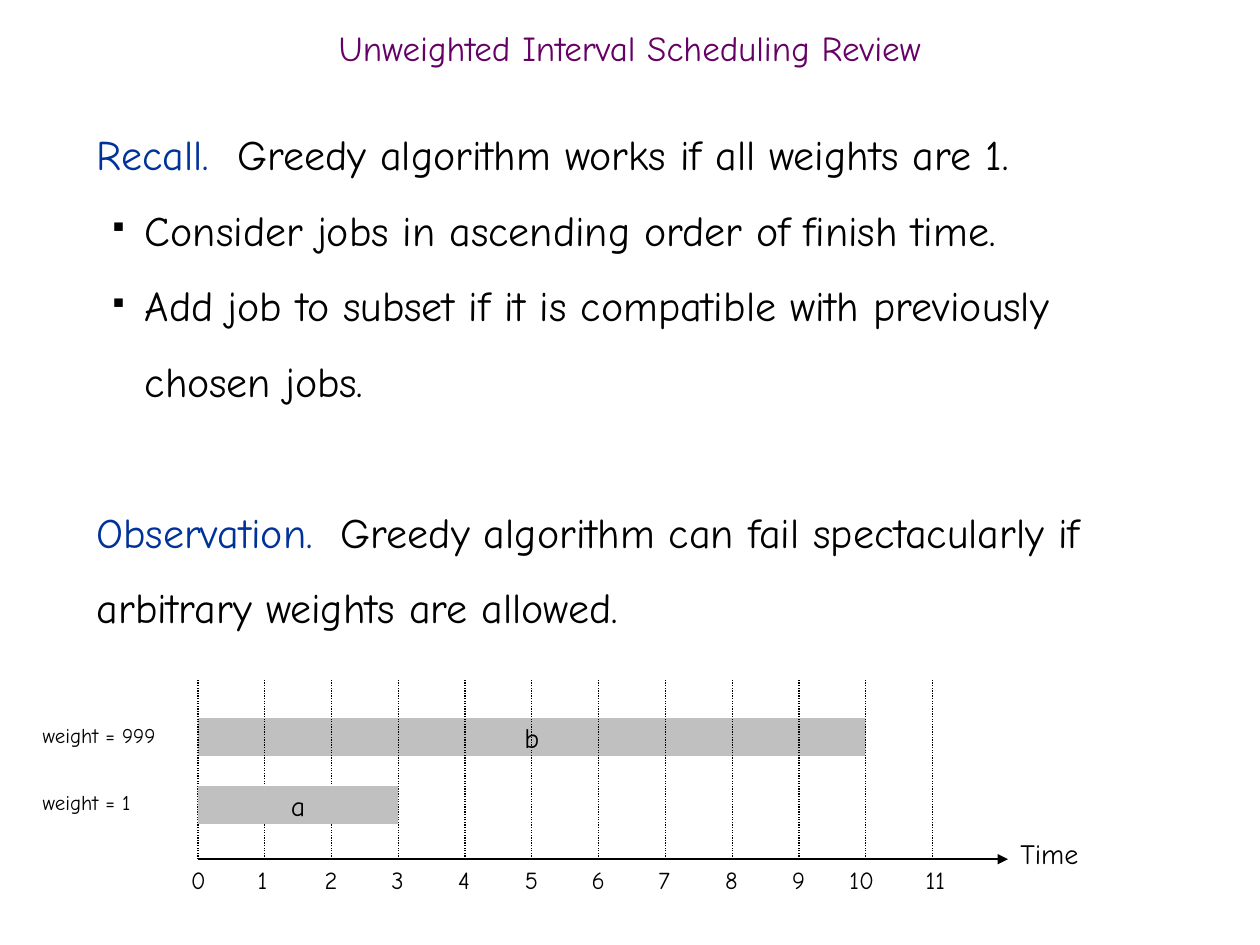
import pptx
import pptx.dml.color
import pptx.enum.dml
import pptx.enum.shapes
import pptx.enum.text
import pptx.oxml.ns
import pptx.util
from lxml import etree
from pptx.util import Cm

COLORS = {"title": "660066", "lead": "003399", "text": "000000", "job": "C0C0C0"}
FONT = "Comic Neue"
ALIGN = pptx.enum.text.PP_ALIGN
ANCHOR = pptx.enum.text.MSO_ANCHOR
qn = pptx.oxml.ns.qn


def style(run, size, color="text"):
    run.font.name = FONT
    run.font.size = pptx.util.Pt(size)
    run.font.color.rgb = pptx.dml.color.RGBColor.from_string(COLORS[color])


def add_line(start_x, start_y, end_x, end_y, width):
    """Draw a straight black line without shadow; positions in cm."""
    line = slide.shapes.add_connector(
        pptx.enum.shapes.MSO_CONNECTOR.STRAIGHT,
        Cm(start_x), Cm(start_y), Cm(end_x), Cm(end_y))
    line.line.color.rgb = pptx.dml.color.RGBColor.from_string(COLORS["text"])
    line.line.width = pptx.util.Pt(width)
    etree.SubElement(line._element.spPr, qn("a:effectLst"))
    return line


presentation = pptx.Presentation()
presentation.slide_width = Cm(25.4)
presentation.slide_height = Cm(19.05)
slide = presentation.slides.add_slide(presentation.slide_layouts[6])

# Title
title = slide.shapes.add_textbox(Cm(0), Cm(0.43), Cm(25.4), Cm(1.27)).text_frame
title.word_wrap = True
title.vertical_anchor = ANCHOR.MIDDLE
heading = title.paragraphs[0]
heading.text = "Unweighted Interval Scheduling Review"
heading.alignment = ALIGN.CENTER
heading.line_spacing = 0.7
style(heading.runs[0], 20, "title")

# Statements: lead-in, sentence, bulleted or not, space before in points
statements = [
    ("Recall.  ", "Greedy algorithm works if all weights are 1.", False, 0),
    ("", "Consider jobs in ascending order of finish time.", True, 0),
    ("", "Add job to subset if it is compatible with previously chosen jobs.", True, 0),
    ("Observation.  ",
     "Greedy algorithm can fail spectacularly if arbitrary weights are allowed.", False, 43),
]
body = slide.shapes.add_textbox(Cm(1.7), Cm(1.96), Cm(21.8), Cm(15.62)).text_frame
body.word_wrap = True
for index, (lead, sentence, bulleted, gap) in enumerate(statements):
    statement = body.add_paragraph() if index else body.paragraphs[0]
    if bulleted:
        statement.level = 1
        properties = statement._p.get_or_add_pPr()
        properties.set("marL", str(Cm(0.97)))
        properties.set("indent", str(-Cm(0.64)))
        bullet_color = etree.SubElement(properties, qn("a:buClr"))
        etree.SubElement(bullet_color, qn("a:srgbClr"), val=COLORS["text"])
        etree.SubElement(properties, qn("a:buSzPct"), val="35000")
        etree.SubElement(properties, qn("a:buChar"), char="■")
    statement.line_spacing = 1.5
    if gap:
        statement.space_before = pptx.util.Pt(gap)
    for words, color in ((lead, "lead"), (sentence, "text")):
        if words:
            run = statement.add_run()
            run.text = words
            style(run, 24, color)

# Time axis
last_tick = 11
axis_left, axis_y, grid_top = 3.99, 17.32, 13.69
step = (18.8 - axis_left) / last_tick
ticks = [axis_left + step * time for time in range(last_tick + 1)]

axis = add_line(axis_left, axis_y, 20.32, axis_y, 1.25)
etree.SubElement(axis.line._get_or_add_ln(), qn("a:tailEnd"), type="triangle")

# Labels: text, left, top, width, height, size, wrap
labels = [
    ("Time", 20.32, 16.74, 2.11, 1.04, 16, True),
    ("weight = 999", 0.61, 14.45, 3.02, 0.86, 12, False),
    ("weight = 1", 0.61, 15.8, 2.46, 0.86, 12, False),
]
for time, tick in enumerate(ticks):
    shift = 0.58 if time == 10 else 0.39
    labels.append((str(time), tick - shift, axis_y, 1.14, 0.94, 14, True))
for words, left, top, width, height, size, wrap in labels:
    label = slide.shapes.add_textbox(Cm(left), Cm(top), Cm(width), Cm(height)).text_frame
    label.word_wrap = wrap
    label.auto_size = pptx.enum.text.MSO_AUTO_SIZE.SHAPE_TO_FIT_TEXT
    label.text = words
    style(label.paragraphs[0].runs[0], size)

# Jobs start at time 0; the grid lies over job b and under job a
for job, duration, top in (("b", 10, 14.48), ("a", 3, 15.85)):
    bar = slide.shapes.add_shape(
        pptx.enum.shapes.MSO_SHAPE.RECTANGLE,
        Cm(axis_left), Cm(top), Cm(step * duration), Cm(0.76))
    bar.shadow.inherit = False
    bar.fill.solid()
    bar.fill.fore_color.rgb = pptx.dml.color.RGBColor.from_string(COLORS["job"])
    bar.line.fill.background()
    bar.text_frame.word_wrap = False
    bar.text_frame.vertical_anchor = ANCHOR.MIDDLE
    bar.text_frame.text = job
    bar.text_frame.paragraphs[0].alignment = ALIGN.CENTER
    style(bar.text_frame.paragraphs[0].runs[0], 16)
    if job == "b":
        for tick in ticks:
            grid_line = add_line(tick, axis_y, tick, grid_top, 0.75)
            grid_line.line.dash_style = pptx.enum.dml.MSO_LINE.ROUND_DOT

presentation.save("out.pptx")
